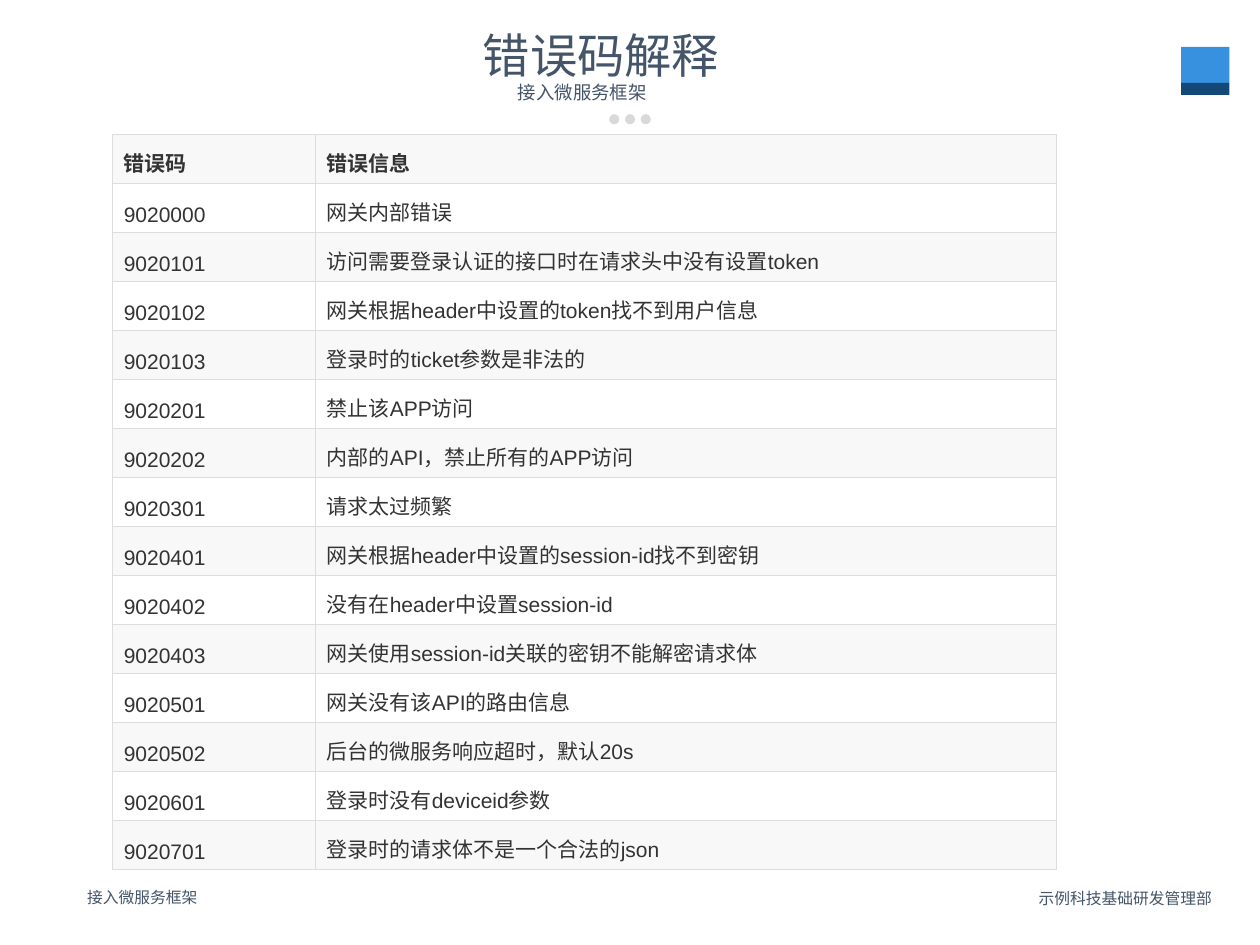
import pptx
import pptx.util
import pptx.dml.color
import pptx.enum.shapes
import pptx.enum.text
import pptx.oxml

Pt = pptx.util.Pt
ALIGN = pptx.enum.text.PP_ALIGN
ANCHOR = pptx.enum.text.MSO_ANCHOR
SHAPE = pptx.enum.shapes.MSO_SHAPE
SLATE = "445469"
GREY = "333333"

ERRORS = [
    ("错误码", "错误信息"),
    ("9020000", "网关内部错误"),
    ("9020101", "访问需要登录认证的接口时在请求头中没有设置token"),
    ("9020102", "网关根据header中设置的token找不到用户信息"),
    ("9020103", "登录时的ticket参数是非法的"),
    ("9020201", "禁止该APP访问"),
    ("9020202", "内部的API，禁止所有的APP访问"),
    ("9020301", "请求太过频繁"),
    ("9020401", "网关根据header中设置的session-id找不到密钥"),
    ("9020402", "没有在header中设置session-id"),
    ("9020403", "网关使用session-id关联的密钥不能解密请求体"),
    ("9020501", "网关没有该API的路由信息"),
    ("9020502", "后台的微服务响应超时，默认20s"),
    ("9020601", "登录时没有deviceid参数"),
    ("9020701", "登录时的请求体不是一个合法的json"),
]


def colour(value):
    return pptx.dml.color.RGBColor.from_string(value)


def write(frame, text, size=18, font="Lato", ink=SLATE, bold=False,
          align=ALIGN.LEFT, line_spacing=None):
    paragraph = frame.paragraphs[0]
    paragraph.alignment = align
    if line_spacing:
        paragraph.line_spacing = Pt(line_spacing)
    run = paragraph.add_run()
    run.text = text
    run.font.size = Pt(size)
    run.font.name = font
    run.font.bold = bold
    run.font.color.rgb = colour(ink)


def place(item, left, top, width, height):
    item.left, item.top = Pt(left), Pt(top)
    item.width, item.height = Pt(width), Pt(height)


def fit_frame(frame, anchor=ANCHOR.MIDDLE):
    frame.word_wrap = True
    frame.auto_size = pptx.enum.text.MSO_AUTO_SIZE.NONE
    frame.vertical_anchor = anchor
    frame.margin_left = frame.margin_right = 0
    frame.margin_top = frame.margin_bottom = 0
    return frame


def add_label(slide, text, left, top, width, height, **style):
    label = slide.shapes.add_textbox(Pt(left), Pt(top), Pt(width), Pt(height))
    write(fit_frame(label.text_frame), text, **style)


def add_block(shapes, kind, left, top, width, height, fill):
    block = shapes.add_shape(kind, Pt(left), Pt(top), Pt(width), Pt(height))
    block.shadow.inherit = False
    block.fill.solid()
    block.fill.fore_color.rgb = colour(fill)
    block.line.fill.background()


def add_corner_mark(slide, left, top, width, height):
    band = height * 0.25
    add_block(slide.shapes, SHAPE.RECTANGLE, left, top, width, height - band, "3891DE")
    add_block(slide.shapes, SHAPE.RECTANGLE, left, top + height - band, width, band, "144977")


def add_heading(slide, left, top, width, height):
    # Title and subtitle
    title = slide.shapes.title
    place(title, left, top, width, 75)
    write(fit_frame(title.text_frame), "错误码解释", size=54)
    add_label(slide, "接入微服务框架", left + 40, top + 66.5, width - 80, 28.5, size=21)

    # Three dots, centred at the foot of the heading
    dot, pitch = 11.5, 18
    first = left + width / 2 - pitch - dot / 2
    dots = slide.shapes.add_group_shape()
    for index in range(3):
        add_block(dots.shapes, SHAPE.OVAL, first + index * pitch,
                  top + height - dot, dot, dot, "D9D9D9")


def add_borders(cell, line_colour):
    properties = cell._tc.get_or_add_tcPr()
    for side in ("lnL", "lnR", "lnT", "lnB"):
        properties.append(pptx.oxml.parse_xml(
            f'<a:{side} xmlns:a="http://schemas.openxmlformats.org/drawingml/2006/main"'
            f' w="12700"><a:solidFill><a:srgbClr val="{line_colour}"/></a:solidFill></a:{side}>'))


def add_error_table(slide, left, top, width, height):
    table = slide.shapes.add_table(len(ERRORS), 2, Pt(left), Pt(top),
                                   Pt(width), Pt(height)).table
    code_width = 232
    table.columns[0].width = Pt(code_width)
    table.columns[1].width = Pt(width - code_width)
    for row, error in enumerate(ERRORS):
        table.rows[row].height = Pt(height / len(ERRORS))
        for column, text in enumerate(error):
            cell = table.cell(row, column)
            cell.margin_left = cell.margin_right = Pt(13)
            cell.margin_top = cell.margin_bottom = Pt(6)
            cell.vertical_anchor = ANCHOR.MIDDLE
            add_borders(cell, "DDDDDD")
            cell.fill.solid()
            cell.fill.fore_color.rgb = colour("FFFFFF" if row % 2 else "F8F8F8")
            write(cell.text_frame, text, size=24, font="Arial", ink=GREY,
                  bold=row == 0, line_spacing=44)


def add_footer(slide, left, top, width, height):
    half = width / 2
    add_label(slide, "接入微服务框架", left, top, half, height)
    add_label(slide, "示例科技基础研发管理部", left + half, top + 1, half, height,
              align=ALIGN.RIGHT)


def main():
    deck = pptx.Presentation()
    deck.slide_width, deck.slide_height = Pt(1440), Pt(1080)
    slide = deck.slides.add_slide(deck.slide_layouts[5])
    add_corner_mark(slide, 1350, 53.5, 55, 55)
    add_heading(slide, 552, 25, 336, 117)
    add_error_table(slide, 128.5, 153.5, 1079, 840)
    add_footer(slide, 99.5, 1013, 1285.5, 25)
    deck.save("out.pptx")


if __name__ == "__main__":
    main()
